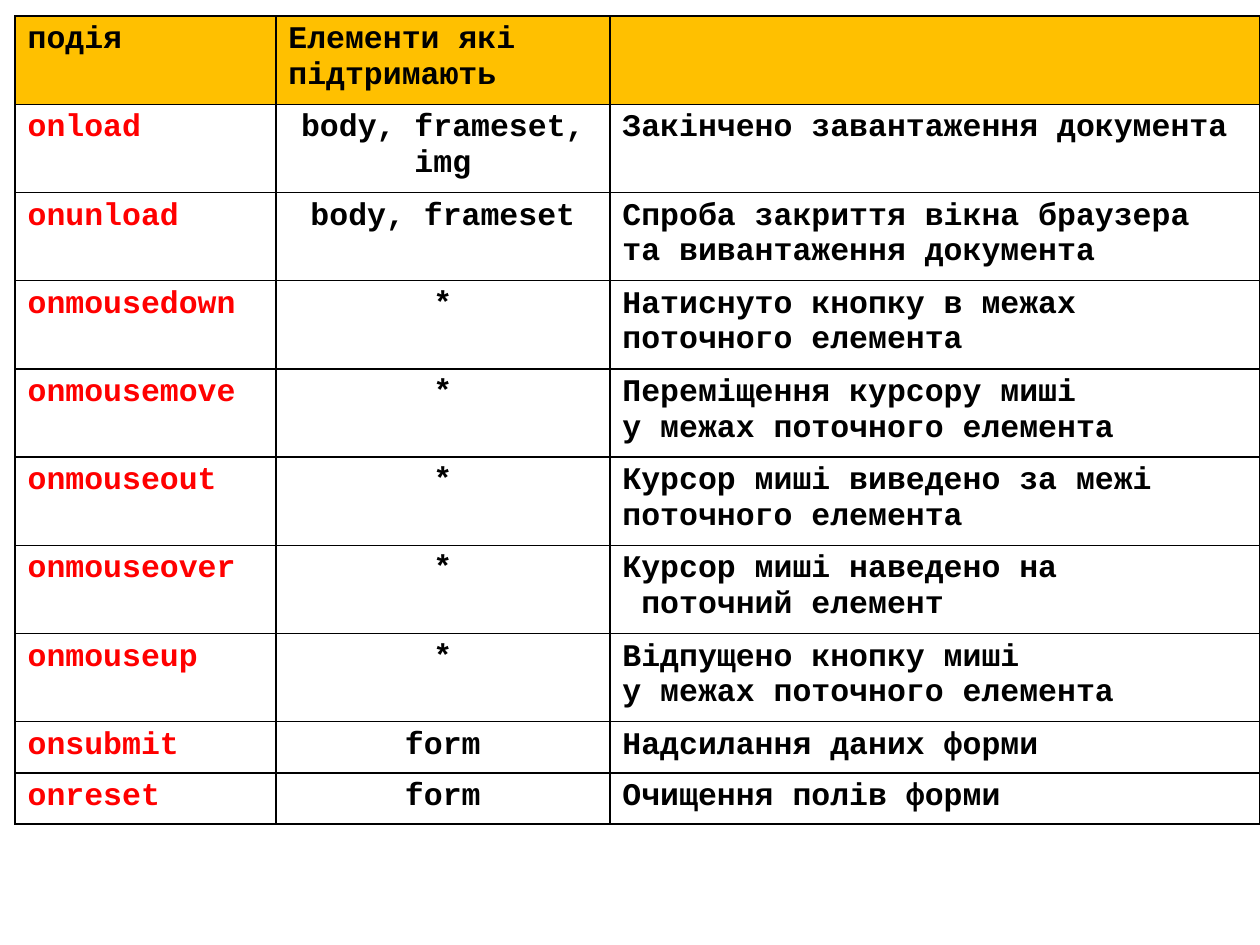
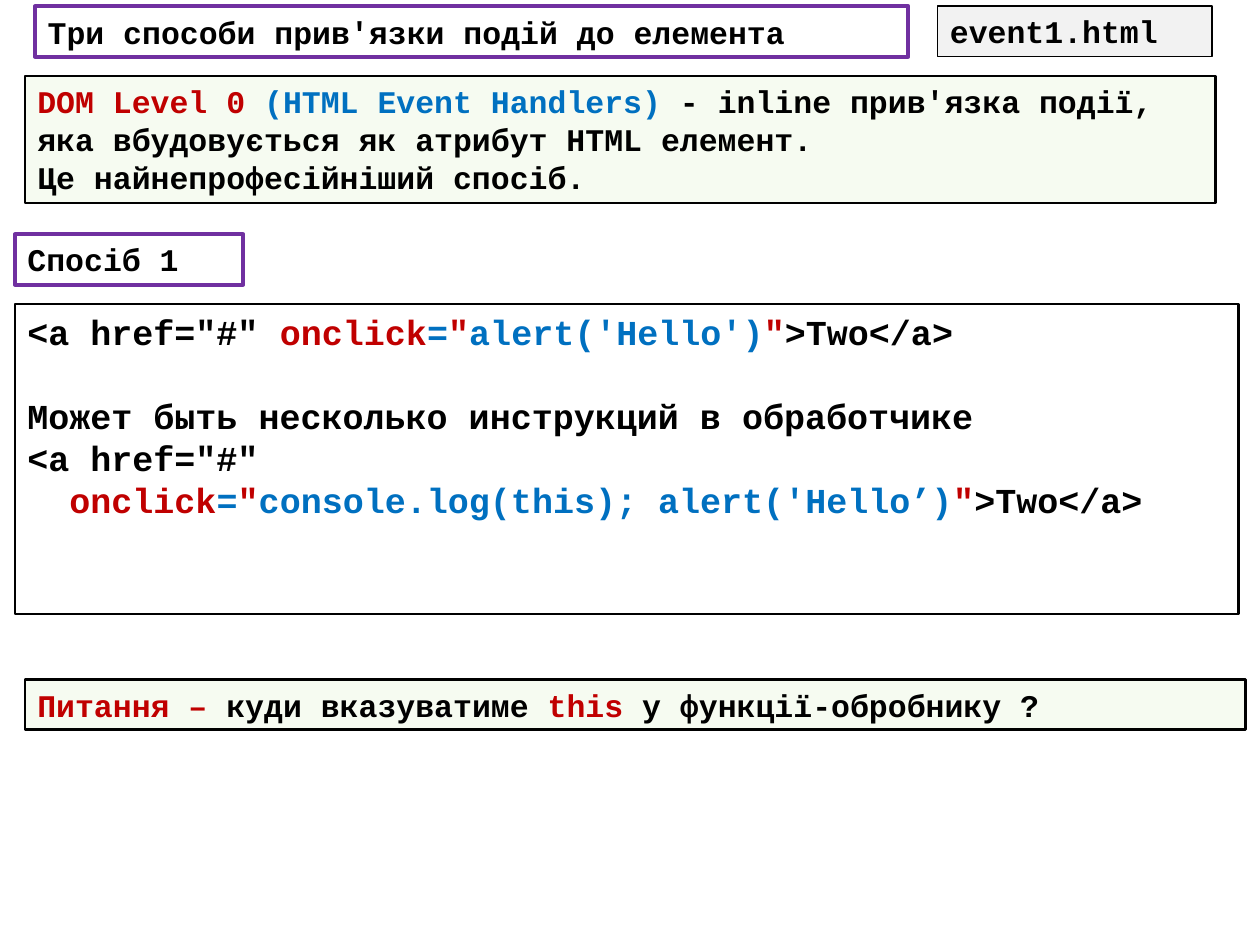
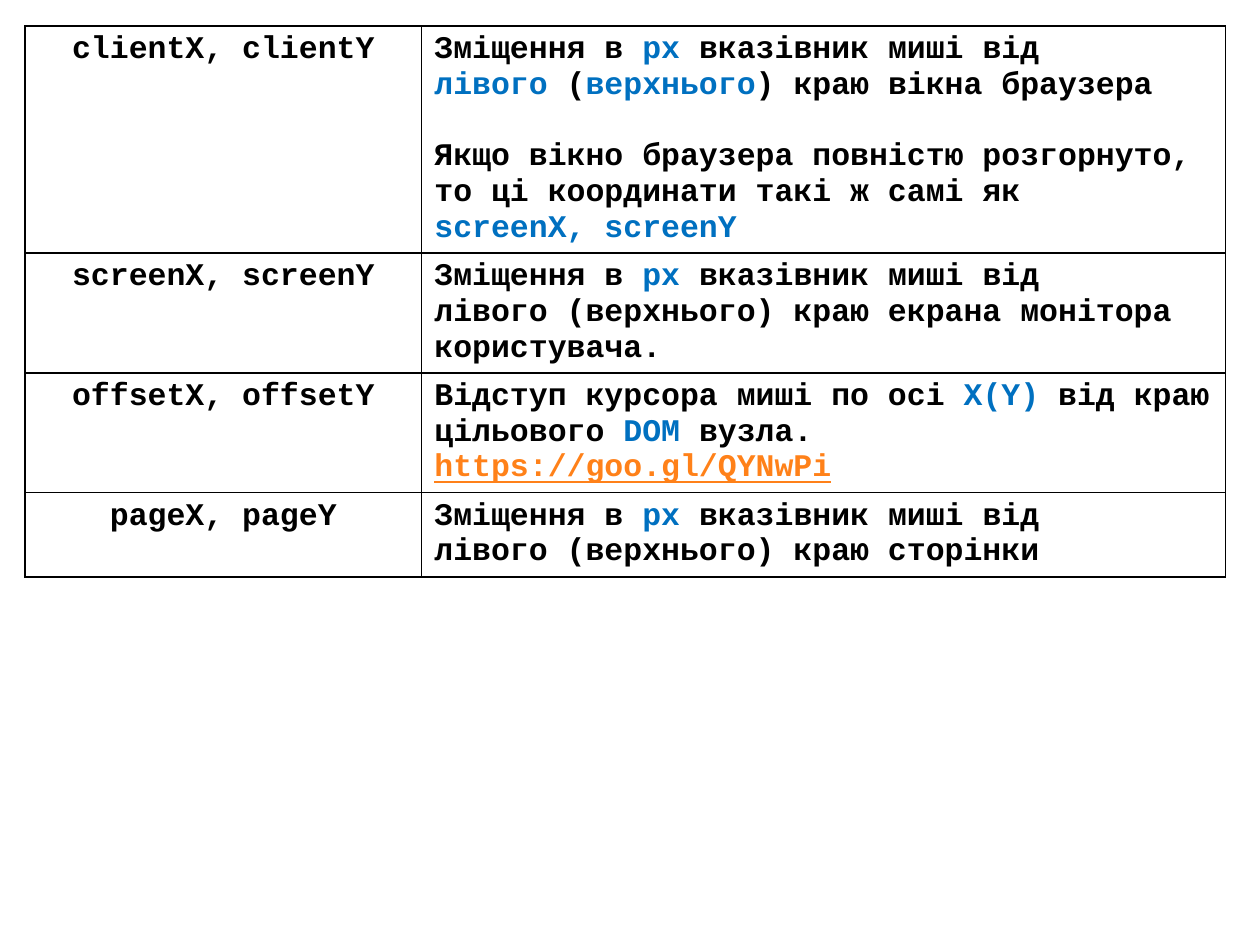
"""Builds three slides on browser events, event binding and mouse coordinates."""

from dataclasses import dataclass
from typing import Optional

from lxml.etree import SubElement
from pptx import Presentation
from pptx.dml.color import RGBColor
from pptx.enum.shapes import MSO_SHAPE
from pptx.enum.text import MSO_ANCHOR, MSO_AUTO_SIZE, PP_ALIGN
from pptx.oxml.ns import qn
from pptx.util import Pt

BLACK = RGBColor(0x00, 0x00, 0x00)
RED = RGBColor(0xFF, 0x00, 0x00)
DARK_RED = RGBColor(0xC0, 0x00, 0x00)
BLUE = RGBColor(0x00, 0x70, 0xC0)
PURPLE = RGBColor(0x70, 0x30, 0xA0)
ORANGE = RGBColor(0xFF, 0x81, 0x19)
AMBER = RGBColor(0xFF, 0xC0, 0x00)
GREEN = RGBColor(0x92, 0xD0, 0x50)
GREY = RGBColor(0xF2, 0xF2, 0xF2)

FONT = "Courier New"
TEXT_SIZE = 18
CODE_SIZE = 20
TITLE_ONLY, BLANK = 5, 6


@dataclass(frozen=True)
class Run:
    text: str
    color: RGBColor = BLACK
    underline: bool = False


@dataclass(frozen=True)
class Line:
    runs: tuple
    alignment: PP_ALIGN = PP_ALIGN.LEFT
    space_before: float = 0
    indent: float = 0


@dataclass(frozen=True)
class Box:
    left: float
    top: float
    width: float
    height: float
    lines: tuple
    border: RGBColor = BLACK
    border_width: float = 1.5
    fill: Optional[RGBColor] = None
    opacity: int = 100
    size: int = TEXT_SIZE


@dataclass(frozen=True)
class Grid:
    left: float
    top: float
    columns: tuple
    row_heights: tuple
    rows: tuple
    header_fill: Optional[RGBColor] = None


def line(*runs, **options) -> Line:
    """Makes a line from runs, taking plain strings as black runs."""
    return Line(tuple(Run(run) if isinstance(run, str) else run for run in runs), **options)


def centred(text: str) -> tuple:
    """Makes the content of a cell with one centred line."""
    return (line(text, alignment=PP_ALIGN.CENTER),)


def blue(text: str) -> Run:
    """Makes a blue run."""
    return Run(text, BLUE)


def dark_red(text: str) -> Run:
    """Makes a dark red run."""
    return Run(text, DARK_RED)


def handler(code: str) -> tuple:
    """Makes the coloured runs of an onclick attribute and the end of its link."""
    return (dark_red("onclick"), blue("="), dark_red('"'), blue(code), dark_red('"'), Run(">Two</a>"))


def write(text_frame, lines: tuple, size: int = TEXT_SIZE) -> None:
    """Writes lines of formatted runs into a text frame."""
    for index, item in enumerate(lines):
        paragraph = text_frame.paragraphs[0] if index == 0 else text_frame.add_paragraph()
        layout = {"alignment": item.alignment, "line_spacing": 1.0,
                  "space_before": Pt(item.space_before), "space_after": Pt(0)}
        for name, value in layout.items():
            setattr(paragraph, name, value)
        if item.indent:
            paragraph._p.get_or_add_pPr().set("marL", str(Pt(item.indent)))
        for part in item.runs:
            run = paragraph.add_run()
            run.text = part.text
            font = {"name": FONT, "size": Pt(size), "bold": True, "underline": part.underline}
            for name, value in font.items():
                setattr(run.font, name, value)
            run.font.color.rgb = part.color


def format_box(shape, box: Box) -> None:
    """Places a shape and gives it the fill, border and text of a box."""
    for name in ("left", "top", "width", "height"):
        setattr(shape, name, Pt(getattr(box, name)))
    if box.fill is None:
        shape.fill.background()
    else:
        shape.fill.solid()
        shape.fill.fore_color.rgb = box.fill
        if box.opacity < 100:
            color = shape._element.spPr.find(qn("a:solidFill")).find(qn("a:srgbClr"))
            SubElement(color, qn("a:alpha"), val=str(box.opacity * 1000))
    shape.line.color.rgb = box.border
    shape.line.width = Pt(box.border_width)
    frame = {"word_wrap": True, "auto_size": MSO_AUTO_SIZE.NONE, "vertical_anchor": MSO_ANCHOR.TOP}
    for name, value in frame.items():
        setattr(shape.text_frame, name, value)
    write(shape.text_frame, box.lines, box.size)


def add_box(slide, box: Box) -> None:
    """Adds a bordered rectangle with text."""
    shape = slide.shapes.add_shape(MSO_SHAPE.RECTANGLE, 0, 0, 0, 0)
    shape.shadow.inherit = False
    format_box(shape, box)


def add_borders(cell) -> None:
    """Draws a thin black border on each side of a cell."""
    properties = cell._tc.get_or_add_tcPr()
    for side in ("a:lnL", "a:lnR", "a:lnT", "a:lnB"):
        border = SubElement(properties, qn(side), w=str(Pt(1)))
        SubElement(SubElement(border, qn("a:solidFill")), qn("a:srgbClr"), val=str(BLACK))


def add_grid(slide, grid: Grid) -> None:
    """Adds a bordered table."""
    table = slide.shapes.add_table(
        len(grid.rows), len(grid.columns), Pt(grid.left), Pt(grid.top),
        Pt(sum(grid.columns)), Pt(sum(grid.row_heights))).table
    table.first_row = table.horz_banding = False
    for column, width in zip(table.columns, grid.columns):
        column.width = Pt(width)
    for row_index, (row, height) in enumerate(zip(grid.rows, grid.row_heights)):
        table.rows[row_index].height = Pt(height)
        for column_index, lines in enumerate(row):
            cell = table.cell(row_index, column_index)
            add_borders(cell)
            if row_index == 0 and grid.header_fill is not None:
                cell.fill.solid()
                cell.fill.fore_color.rgb = grid.header_fill
            else:
                cell.fill.background()
            write(cell.text_frame, lines)


def event_row(event: str, elements: str, *description: Line) -> tuple:
    """Makes a table row that describes one event."""
    return (line(Run(event, RED)),), centred(elements), description


EVENTS = Grid(
    8.6, 9.2, (149, 190.9, 371.5), (50.4,) * 8 + (29.2,) * 2,
    (
        ((line("подія"),), (line("Елементи які підтримають"),), ()),
        event_row("onload", "body, frameset, img", line("Закінчено завантаження документа")),
        event_row("onunload", "body, frameset",
                  line("Спроба закриття вікна браузера"), line("та вивантаження документа")),
        event_row("onmousedown", "*", line("Натиснуто кнопку в межах поточного елемента")),
        event_row("onmousemove", "*",
                  line("Переміщення курсору миші"), line("у межах поточного елемента")),
        event_row("onmouseout", "*",
                  line("Курсор миші виведено за межі"), line("поточного елемента")),
        event_row("onmouseover", "*",
                  line("Курсор миші наведено на"), line("поточний елемент", indent=10.8)),
        event_row("onmouseup", "*",
                  line("Відпущено кнопку миші"), line("у межах поточного елемента")),
        event_row("onsubmit", "form", line("Надсилання даних форми")),
        event_row("onreset", "form", line("Очищення полів форми")),
    ),
    AMBER,
)

BINDING_TITLE = Box(20, 3.6, 499, 28.8, (line("Три способи прив'язки подій до елемента"),),
                    PURPLE, 2.25)

BINDING_BOXES = (
    Box(14.2, 43.4, 680.4, 72.7, (
        line(dark_red("DOM Level 0"), blue(" (HTML Event Handlers)"),
             " - inline прив'язка події, яка вбудовується як атрибут HTML елемент."),
        line("Це найнепрофесійніший спосіб."),
    ), fill=GREEN, opacity=8),
    Box(535.7, 3.6, 157, 28.8, (line("event1.html"),), border_width=1, fill=GREY),
    Box(8.6, 133.9, 130.3, 28.8, (line("Cпосіб 1"),), PURPLE, 2.25),
    Box(14.2, 388.3, 697.7, 28.8, (
        line(dark_red("Питання – "), "куди вказуватиме ", dark_red("this"),
             " у функції-обробнику ?"),
    ), fill=GREEN, opacity=8),
    Box(8.5, 173.7, 699.1, 177.1, (
        line('<a href="#" ', *handler("alert('Hello')")),
        line("Может быть несколько инструкций в обработчике", space_before=24),
        line('<a href="#"'),
        line("  ", *handler("console.log(this); alert('Hello’)")),
    ), size=CODE_SIZE),
)

POINTER_OFFSET = line("Зміщення в ", blue("px "), "вказівник миші від")

COORDINATES = Grid(
    14.2, 15, (226.8, 459.4), (129.6, 68.4, 68.4, 48),
    (
        (centred("clientX, clientY"), (
            POINTER_OFFSET,
            line(blue("лівого"), " (", blue("верхнього"), ") краю вікна браузера"),
            line("Якщо вікно браузера повністю розгорнуто, то ці координати такі ж самі як",
                 space_before=20.4),
            line(blue("screenX, screenY")),
        )),
        (centred("screenX, screenY"), (
            POINTER_OFFSET,
            line("лівого (верхнього) краю екрана монітора користувача."),
        )),
        (centred("offsetX, offsetY"), (
            line("Відступ курсора миші по осі ", blue("X(Y) "), "від краю цільового ",
                 blue("DOM "), "вузла."),
            line(Run("https://goo.gl/QYNwPi", ORANGE, True)),
        )),
        (centred("pageX, pageY"), (
            POINTER_OFFSET,
            line("лівого (верхнього) краю сторінки"),
        )),
    ),
)


def main() -> None:
    """Builds and saves the presentation."""
    presentation = Presentation()
    presentation.slide_width, presentation.slide_height = Pt(720), Pt(540)
    layouts = presentation.slide_layouts

    add_grid(presentation.slides.add_slide(layouts[BLANK]), EVENTS)

    binding_slide = presentation.slides.add_slide(layouts[TITLE_ONLY])
    format_box(binding_slide.shapes.title, BINDING_TITLE)
    for box in BINDING_BOXES:
        add_box(binding_slide, box)

    add_grid(presentation.slides.add_slide(layouts[BLANK]), COORDINATES)
    presentation.save("out.pptx")


if __name__ == "__main__":
    main()
